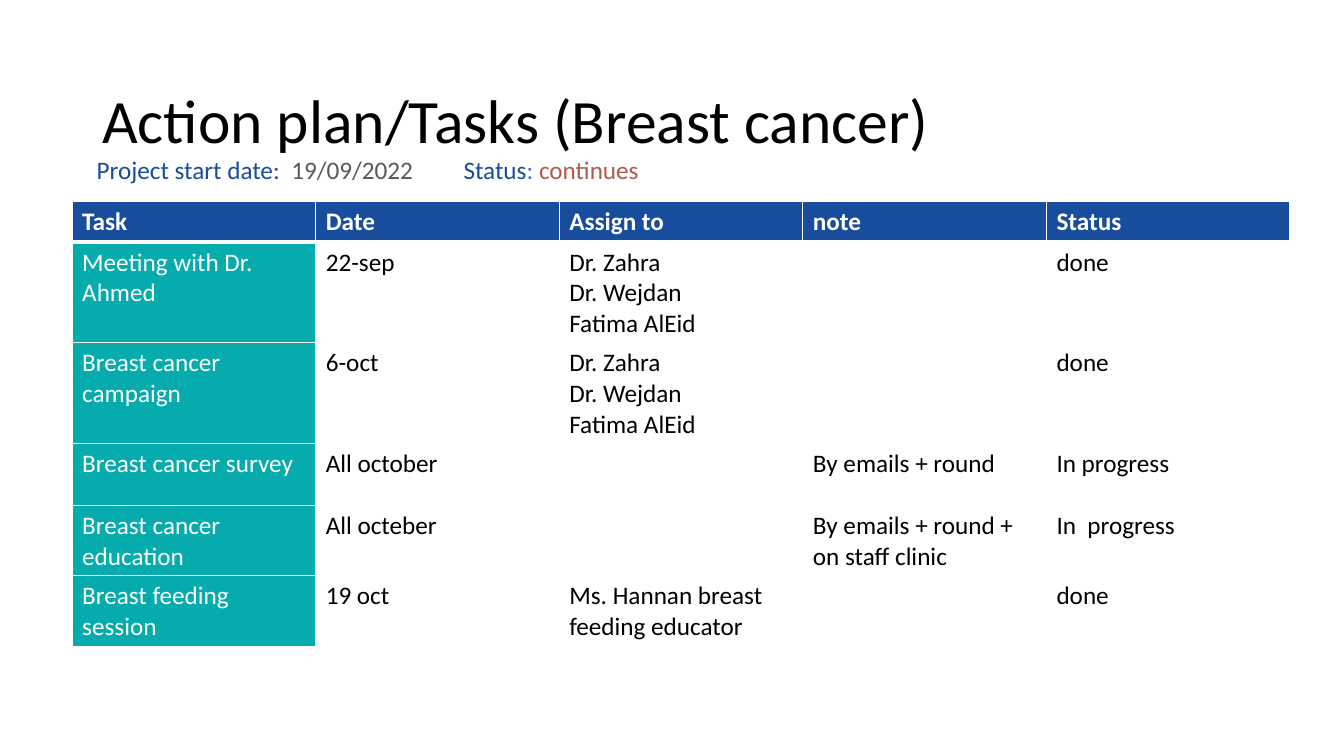
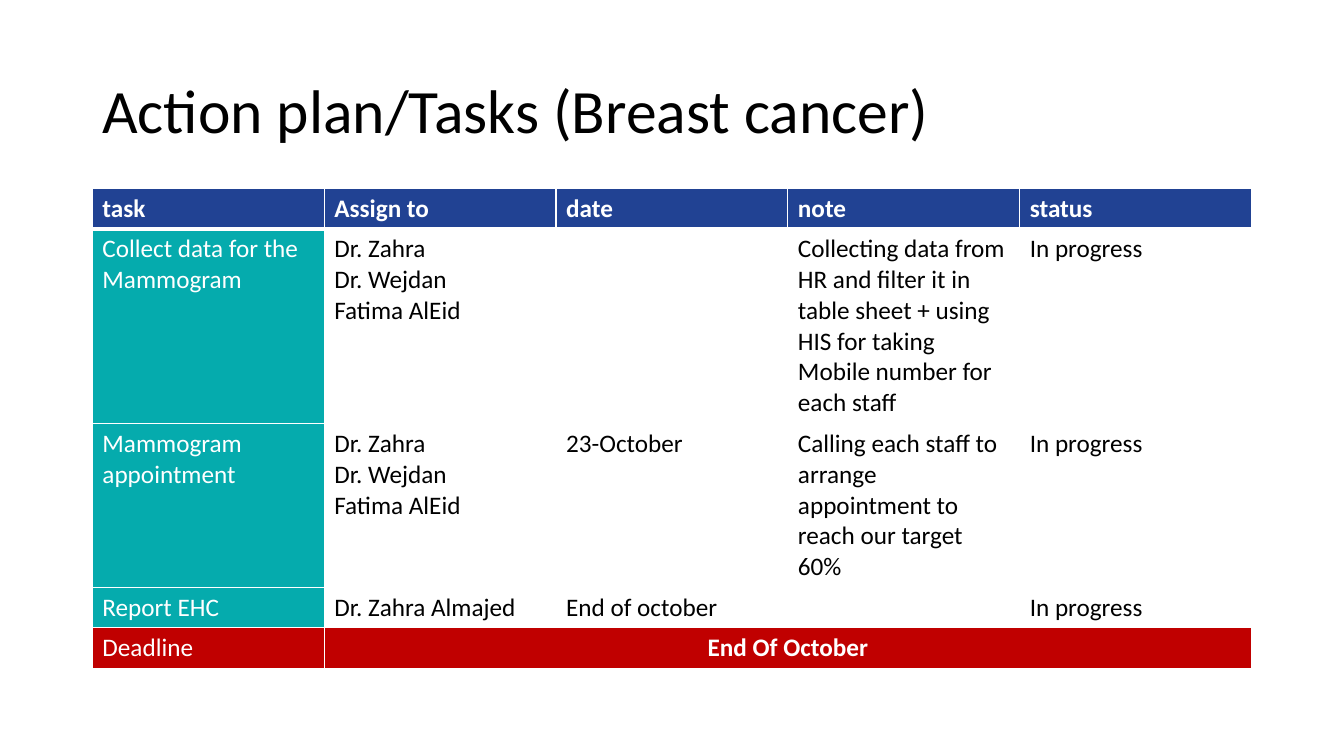
from lxml import etree
from pptx import Presentation
from pptx.dml.color import RGBColor
from pptx.enum.text import MSO_ANCHOR, PP_ALIGN
from pptx.oxml.ns import qn
from pptx.util import Pt

WHITE = RGBColor(0xFF, 0xFF, 0xFF)
BLACK = RGBColor(0, 0, 0)
BLUE = RGBColor(0x18, 0x4D, 0x9D)
NAVY = RGBColor(0x21, 0x42, 0x93)
TEAL = RGBColor(0x05, 0xAB, 0xAD)
RED = RGBColor(0xC0, 0, 0)
GRAY = RGBColor(0x59, 0x59, 0x59)
COLON_BLUE = RGBColor(0x44, 0x72, 0xC4)
RUST = RGBColor(0xAD, 0x5C, 0x4D)
FONT = "Calibri"

TITLE = "Action plan/Tasks (Breast cancer)"
TEAM = "Dr. Zahra\nDr. Wejdan\nFatima AlEid"

PROJECT_LINE = [
    ("Project start date:  ", BLUE),
    ("19/09/2022\t", GRAY),
    ("Status", BLUE),
    (": ", COLON_BLUE),
    ("continues", RUST),
]
STATUS_TAB = Pt(262)

CAMPAIGN = [
    ("Task", "Date", "Assign to", "note", "Status"),
    ("Meeting with Dr. Ahmed", "22-sep", TEAM, "", "done"),
    ("Breast cancer campaign", "6-oct", TEAM, "", "done"),
    ("Breast cancer survey", "All october", "", "By emails + round", "In progress"),
    ("Breast cancer education", "All octeber", "", "By emails + round + on staff clinic",
     "In  progress"),
    ("Breast feeding session", "19 oct", "Ms. Hannan breast feeding educator", "", "done"),
]
MAMMOGRAM = [
    ("task", "Assign to", "date", "note", "status"),
    ("Collect data for the Mammogram", TEAM, "",
     "Collecting data from HR and filter it in table sheet + using HIS for taking "
     "Mobile number for each staff", "In progress"),
    ("Mammogram appointment", TEAM, "23-October",
     "Calling each staff to arrange appointment to reach our target 60%", "In progress"),
    ("Report EHC", "Dr. Zahra Almajed", "End of october", "", "In progress"),
]
DEADLINE = ("Deadline", "End Of October")


def set_font(font, size, color=None, bold=False):
    font.name, font.size, font.bold = FONT, Pt(size), bold
    if color is not None:
        font.color.rgb = color


def add_text_box(slide, left, top, width, height):
    tf = slide.shapes.add_textbox(Pt(left), Pt(top), Pt(width), Pt(height)).text_frame
    tf.word_wrap = True
    return tf


def add_title(slide, top, height):
    tf = add_text_box(slide, 66, top, 828, height)
    tf.vertical_anchor = MSO_ANCHOR.MIDDLE
    p = tf.paragraphs[0]
    p.text = TITLE
    p.line_spacing = 0.9
    set_font(p.font, 44, BLACK)


def add_project_line(slide):
    p = add_text_box(slide, 62, 106.5, 480, 29).paragraphs[0]
    tabs = etree.SubElement(p._p.get_or_add_pPr(), qn("a:tabLst"))
    etree.SubElement(tabs, qn("a:tab"), pos=str(STATUS_TAB), algn="l")
    set_font(p.font, 18)
    for text, color in PROJECT_LINE:
        r = p.add_run()
        r.text = text
        r.font.color.rgb = color


def set_borders(cell, **widths):
    """Draw white cell borders; widths are points keyed by side L, R, T, B."""
    tc_pr = cell._tc.get_or_add_tcPr()
    for side in "LRTB":
        ln = etree.SubElement(tc_pr, qn(f"a:ln{side}"), w=str(Pt(widths.get(side, 1))))
        fill = etree.SubElement(ln, qn("a:solidFill"))
        etree.SubElement(fill, qn("a:srgbClr"), val=str(WHITE))


def fill_cell(cell, text, fill, color, bold=False, align=None):
    cell.fill.solid()
    cell.fill.fore_color.rgb = fill
    cell.text = text
    for p in cell.text_frame.paragraphs:
        p.alignment = align
        set_font(p.font, 18, color, bold)


def add_task_table(slide, rows, left, top, width, heights, header_fill):
    """Add a table with one row per height; rows fill it from the top."""
    count = len(rows[0])
    table = slide.shapes.add_table(
        len(heights), count, Pt(left), Pt(top), Pt(width), Pt(sum(heights))).table
    table.first_row = table.horz_banding = False
    for column in table.columns:
        column.width = Pt(width / count)
    for i, height in enumerate(heights):
        table.rows[i].height = Pt(height)
        edges = {0: {"B": 3}, 1: {"T": 3}}.get(i, {})
        for j in range(count):
            set_borders(table.cell(i, j), **edges)
    for i, row in enumerate(rows):
        for j, text in enumerate(row):
            if i == 0:
                style = (header_fill, WHITE, True)
            elif j == 0:
                style = (TEAL, WHITE)
            else:
                style = (WHITE, BLACK)
            fill_cell(table.cell(i, j), text, *style)
    return table


def add_deadline(table):
    last = len(table.rows) - 1
    label, date = DEADLINE
    date_cell = table.cell(last, 1)
    date_cell.merge(table.cell(last, len(table.columns) - 1))
    fill_cell(table.cell(last, 0), label, RED, WHITE)
    fill_cell(date_cell, date, RED, WHITE, True, PP_ALIGN.CENTER)


def main():
    prs = Presentation()
    prs.slide_width, prs.slide_height = Pt(960), Pt(540)
    blank = prs.slide_layouts[6]

    s = prs.slides.add_slide(blank)
    add_title(s, 48, 80)
    add_task_table(s, CAMPAIGN, 51.5, 144, 870, [28, 71, 71, 44, 49, 49], BLUE)
    add_project_line(s)

    s = prs.slides.add_slide(blank)
    add_title(s, 29, 104)
    table = add_task_table(s, MAMMOGRAM, 66, 134.5, 828, [29, 139, 117, 29, 29], NAVY)
    add_deadline(table)

    prs.save("out.pptx")


if __name__ == "__main__":
    main()
